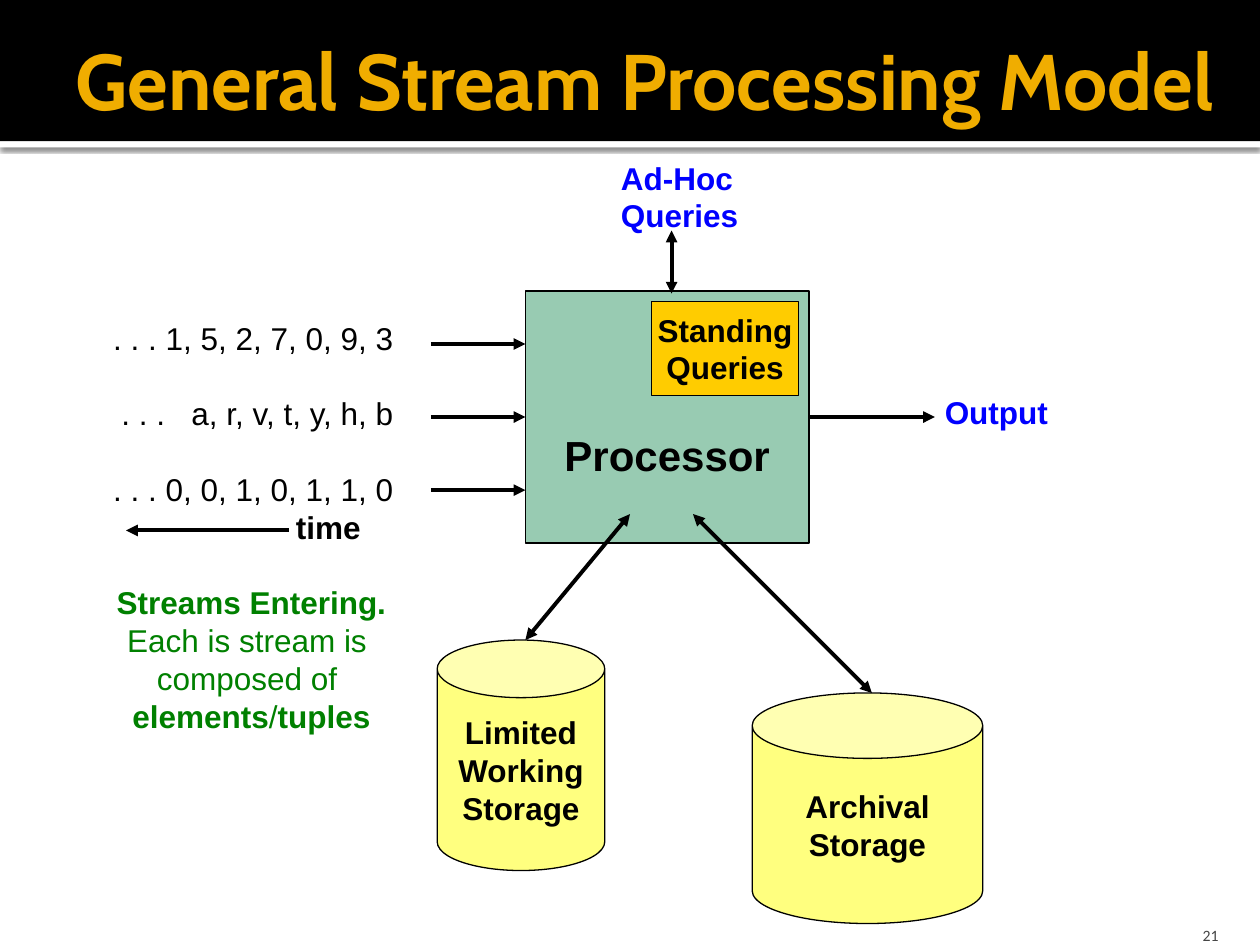
from lxml.etree import SubElement
from pptx import Presentation
from pptx.dml.color import RGBColor as Rgb
from pptx.enum.shapes import MSO_CONNECTOR as Link, MSO_SHAPE as Kind
from pptx.enum.text import MSO_ANCHOR as Anchor, MSO_AUTO_SIZE as Fit, PP_ALIGN as Align
from pptx.oxml.ns import qn
from pptx.util import Inches, Pt

HUES = {
    "black": "000000", "white": "FFFFFF", "gold": "F0AD00", "green": "339966",
    "yellow": "FFFF00", "amber": "FFCC00", "blue": "0000FF", "leaf": "008000",
    "gray": "454545",
}
LEFT, MID, RIGHT = Align.LEFT, Align.CENTER, Align.RIGHT
BREAK = "\n"


def hue(name):
    return Rgb.from_string(HUES[name])


class Deck:
    font = "Arial"
    size = 18
    lead = 1.2

    def __init__(self, wide, high):
        self.prs = Presentation()
        self.prs.slide_width, self.prs.slide_height = Inches(wide), Inches(high)
        self.slide = self.prs.slides.add_slide(self.prs.slide_layouts[5])
        self.shapes = self.slide.shapes

    def run(self, para, text, color="black", bold=False, size=None, font=None):
        run = para.add_run()
        run.text = text
        face = run.font
        face.name, face.size = font or self.font, Pt(size or self.size)
        face.bold, face.color.rgb = bold, hue(color)
        return run

    def para(self, frame, parts, align=LEFT, gap=0, indent=0, **look):
        """Add a paragraph of (text, bold) parts; gap counts empty lines above."""
        para = frame.paragraphs[0]
        if para.runs:
            para = frame.add_paragraph()
        size = look.get("size") or self.size
        para.alignment, para.line_spacing = align, Pt(size * self.lead)
        if gap:
            para.space_before = Pt(gap * size * self.lead)
        if indent:
            para._p.get_or_add_pPr().set("marL", str(Inches(indent)))
        for text, bold in parts:
            if text == BREAK:
                para.add_line_break()
            else:
                self.run(para, text, bold=bold, **look)
        return para

    def lines(self, frame, texts, align=LEFT, bold=True, **look):
        for text in texts:
            self.para(frame, [(text, bold)], align, **look)

    def title(self, text, at):
        title = self.shapes.title
        title.left, title.top, title.width, title.height = map(Inches, at)
        title.element.getparent().append(title.element)  # in front of the bars
        frame = title.text_frame
        frame.auto_size, frame.vertical_anchor = Fit.NONE, Anchor.MIDDLE
        frame.margin_right = Inches(0.05)
        para = frame.paragraphs[0]
        para.alignment = LEFT
        self.run(para, text, "gold", True, 45, "Cabin")

    def shape(self, kind, at, fill, alpha=None, edge=True):
        shape = self.shapes.add_shape(kind, *map(Inches, at))
        shape.shadow.inherit = False
        shape.fill.solid()
        shape.fill.fore_color.rgb = hue(fill)
        if alpha:
            tint = shape.element.spPr.find(qn("a:solidFill"))[0]
            SubElement(tint, qn("a:alpha"), val=str(alpha * 1000))
        if edge:
            shape.line.color.rgb, shape.line.width = hue("black"), Pt(0.75)
        else:
            shape.line.fill.background()
        return shape

    def shade(self, shape):
        """Drop a soft shadow straight down."""
        effects = shape.element.spPr.find(qn("a:effectLst"))
        drop = SubElement(effects, qn("a:outerShdw"), blurRad=str(Pt(2.5)),
                          dist=str(Pt(0.8)), dir="5400000", rotWithShape="0")
        tint = SubElement(drop, qn("a:srgbClr"), val=HUES["black"])
        SubElement(tint, qn("a:alpha"), val="60000")

    def block(self, kind, at, fill, texts, alpha=None, size=None):
        shape = self.shape(kind, at, fill, alpha)
        frame = shape.text_frame
        frame.word_wrap, frame.vertical_anchor = False, Anchor.MIDDLE
        self.lines(frame, texts, MID, size=size)
        return shape

    def can(self, at, adj, texts):
        can = self.block(Kind.CAN, at, "yellow", texts, 50)
        can.adjustments[0] = adj

    def text(self, at, wrap=False):
        frame = self.shapes.add_textbox(*map(Inches, at)).text_frame
        frame.word_wrap = wrap
        return frame

    def arrow(self, start, end, both=False):
        line = self.shapes.add_connector(Link.STRAIGHT, *map(Inches, start + end))
        line.line.color.rgb, line.line.width = hue("black"), Pt(2.25)
        props = line.element.spPr
        stroke = props.find(qn("a:ln"))
        for tip in ("a:headEnd", "a:tailEnd") if both else ("a:tailEnd",):
            SubElement(stroke, qn(tip), type="triangle")
        SubElement(props, qn("a:effectLst"))
        return line


def streams(deck):
    frame = deck.text((0.77, 2.48, 2.45, 3.43), True)
    deck.para(frame, [(". . . 1, 5, 2, 7, 0, 9, 3", False)], RIGHT)
    letters = deck.para(frame, [(". . .", False), (" ", False),
                                ("a, r, v, t, y, h, b", False)], RIGHT, gap=1)
    letters.runs[1].font._element.set("spc", "1000")  # widens the gap
    deck.para(frame, [(". . . 0, 0, 1, 0, 1, 1, 0", False)], RIGHT, gap=1)
    deck.para(frame, [("time", True)], indent=1.48)
    deck.para(frame, [("Streams Entering.", True)], MID, gap=1, color="leaf")
    deck.para(frame, [("Each is stream is ", False), (BREAK, False),
                      ("composed of ", False), (BREAK, False),
                      ("elements", True), ("/", False), ("tuples", True)],
              MID, color="leaf")


def main():
    deck = Deck(10, 7.5)
    deck.shade(deck.shape(Kind.RECTANGLE, (0, 1.12, 10, 0.05), "white", edge=False))
    deck.shape(Kind.RECTANGLE, (0, 0, 10, 1.12), "black", edge=False)
    deck.title("General Stream Processing Model", (0.5, 0.17, 9.5, 0.92))

    core = deck.block(Kind.RECTANGLE, (4.17, 2.31, 2.25, 2), "green",
                      ["Processor"], 50, 24)
    core.text_frame.margin_top = Inches(0.65)
    deck.can((3.47, 5.08, 1.33, 1.83), 0.344, ["Limited", "Working", "Storage"])
    deck.arrow((5, 4.08), (4.17, 5.08), True)

    feeds = [deck.arrow((3.42, y), (4.17, y)) for y in (2.73, 3.31, 3.89)]
    feeds[1].end_connect(core, 1)
    streams(deck)
    deck.arrow((2.29, 4.21), (1, 4.21))

    deck.lines(deck.text((4.83, 1.21, 1.14, 0.71)), ["Ad-Hoc", "Queries"], color="blue")
    deck.arrow((5.33, 1.83), (5.33, 2.33), True)
    deck.lines(deck.text((7.4, 3.07, 1.03, 0.4)), ["Output"], color="blue")
    deck.arrow((6.42, 3.31), (7.42, 3.31)).begin_connect(core, 3)

    deck.can((5.97, 5.5, 1.83, 1.83), 0.284, ["Archival", "Storage"])
    deck.arrow((5.5, 4.08), (6.92, 5.5), True)
    deck.block(Kind.RECTANGLE, (5.17, 2.39, 1.17, 0.75), "amber", ["Standing", "Queries"])

    page = deck.text((8.97, 7.2, 0.8, 0.3), True)
    page.vertical_anchor, page.margin_bottom = Anchor.BOTTOM, 0
    deck.lines(page, ["21"], RIGHT, False, color="gray", size=9, font="Calibri")
    deck.prs.save("out.pptx")


if __name__ == "__main__":
    main()
